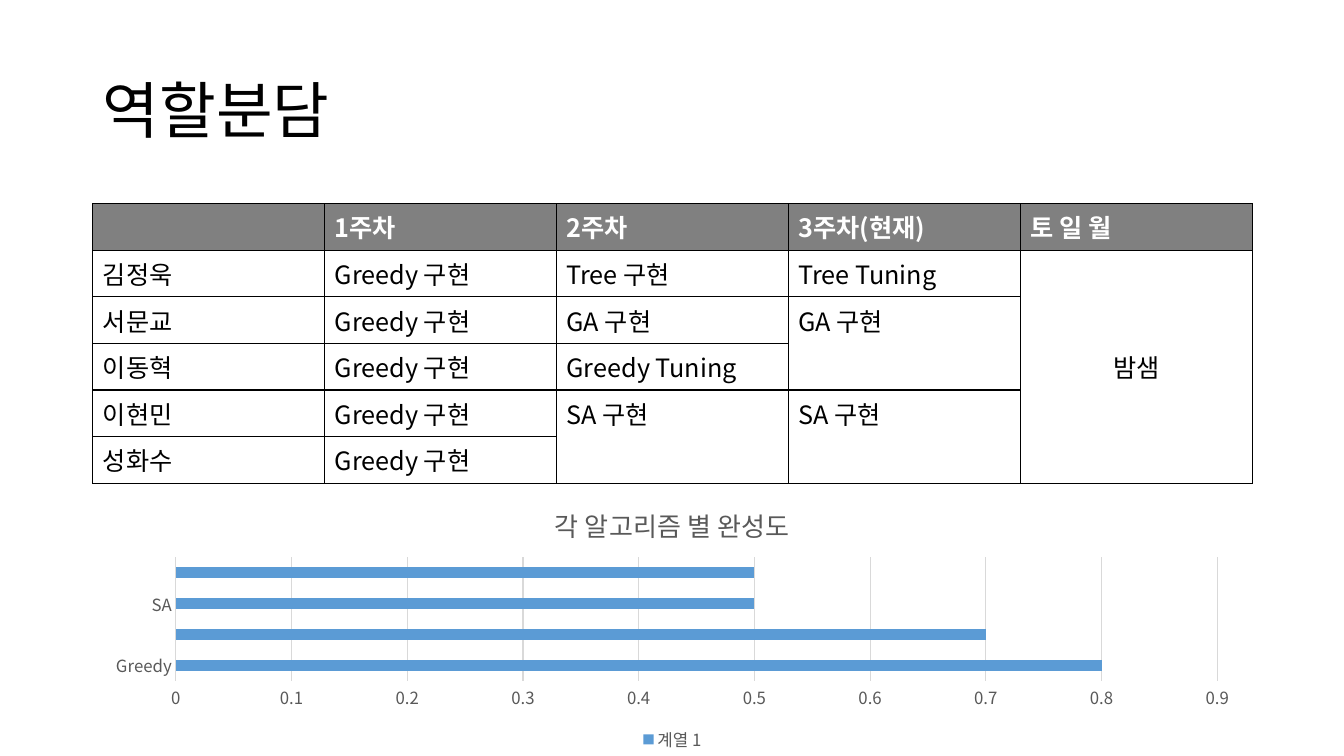
"""Build the role assignment slide with a weekly schedule and a progress chart."""
from lxml.etree import SubElement
from pptx import Presentation
from pptx.chart.data import CategoryChartData
from pptx.dml.color import RGBColor
from pptx.enum.chart import XL_CHART_TYPE, XL_LEGEND_POSITION, XL_TICK_MARK
from pptx.enum.text import MSO_ANCHOR, PP_ALIGN
from pptx.oxml.ns import qn
from pptx.util import Inches, Pt

FONT = "Noto Sans CJK KR"
BLACK = RGBColor(0x00, 0x00, 0x00)
WHITE = RGBColor(0xFF, 0xFF, 0xFF)
HEADER_GRAY = RGBColor(0x80, 0x80, 0x80)
LABEL_GRAY = RGBColor(0x59, 0x59, 0x59)
GRID_GRAY = RGBColor(0xD9, 0xD9, 0xD9)
BAR_BLUE = RGBColor(0x5B, 0x9B, 0xD5)
LEFT, WIDTH = Inches(0.92), Inches(11.5)

SCHEDULE = [
    ["", "1주차", "2주차", "3주차(현재)", "토 일 월"],
    ["김정욱", "Greedy 구현", "Tree 구현", "Tree Tuning", "밤샘"],
    ["서문교", "Greedy 구현", "GA 구현", "GA 구현", ""],
    ["이동혁", "Greedy 구현", "Greedy Tuning", "", ""],
    ["이현민", "Greedy 구현", "SA 구현", "SA 구현", ""],
    ["성화수", "Greedy 구현", "", "", ""],
]
MERGES = [((1, 4), (5, 4)), ((2, 3), (3, 3)), ((4, 2), (5, 2)), ((4, 3), (5, 3))]
PROGRESS = {"Greedy": 0.8, "Tree": 0.7, "SA": 0.5, "GA": 0.5}


class SlideBuilder:
    def __init__(self, slide):
        self.slide = slide

    def style(self, font, size, color, bold=False):
        font.name, font.size, font.bold = FONT, Pt(size), bold
        font.color.rgb = color

    def use_east_asian_font(self, element):
        for latin in list(element.iter(qn("a:latin"))):
            east_asian = SubElement(latin.getparent(), qn("a:ea"), typeface=FONT)
            latin.addnext(east_asian)

    def add_title(self, text, top, height):
        title = self.slide.shapes.title
        title.left, title.top, title.width, title.height = LEFT, top, WIDTH, height
        frame = title.text_frame
        frame.text = text
        frame.word_wrap = True
        frame.vertical_anchor = MSO_ANCHOR.MIDDLE
        paragraph = frame.paragraphs[0]
        paragraph.alignment = PP_ALIGN.LEFT
        paragraph.line_spacing = 0.9
        self.style(paragraph.runs[0].font, 44, BLACK)
        self.use_east_asian_font(title.element)

    def add_borders(self, cell):
        properties = cell._tc.get_or_add_tcPr()
        for side in ("lnL", "lnR", "lnT", "lnB"):
            line = SubElement(properties, qn(f"a:{side}"), w=str(Pt(1)))
            fill = SubElement(line, qn("a:solidFill"))
            SubElement(fill, qn("a:srgbClr"), val=str(BLACK))

    def add_table(self, rows, merges, top, height):
        frame = self.slide.shapes.add_table(len(rows), len(rows[0]), LEFT, top, WIDTH, height)
        table = frame.table
        table.horz_banding = False
        for row_index, row in enumerate(rows):
            is_header = row_index == 0
            for column_index, text in enumerate(row):
                cell = table.cell(row_index, column_index)
                self.add_borders(cell)
                if is_header:
                    cell.fill.solid()
                    cell.fill.fore_color.rgb = HEADER_GRAY
                else:
                    cell.fill.background()
                cell.text_frame.text = text
                for run in cell.text_frame.paragraphs[0].runs:
                    self.style(run.font, 18, WHITE if is_header else BLACK, is_header)
        for first, last in merges:
            table.cell(*first).merge(table.cell(*last))
        self.use_east_asian_font(frame._element)
        return table

    def format_axis(self, axis):
        axis.major_tick_mark = axis.minor_tick_mark = XL_TICK_MARK.NONE
        self.style(axis.tick_labels.font, 12, LABEL_GRAY)

    def add_bar_chart(self, title, series_name, values, top, height):
        data = CategoryChartData()
        data.categories = list(values)
        data.add_series(series_name, list(values.values()))
        chart = self.slide.shapes.add_chart(
            XL_CHART_TYPE.BAR_CLUSTERED, LEFT, top, WIDTH, height, data
        ).chart
        self.style(chart.font, 10, BLACK)
        chart.has_title = True
        chart.chart_title.include_in_layout = False
        chart.chart_title.text_frame.text = title
        self.style(chart.chart_title.text_frame.paragraphs[0].runs[0].font, 18.6, LABEL_GRAY)
        chart.has_legend = True
        chart.legend.position = XL_LEGEND_POSITION.BOTTOM
        chart.legend.include_in_layout = False
        self.style(chart.legend.font, 12, LABEL_GRAY)

        for axis in (chart.category_axis, chart.value_axis):
            self.format_axis(axis)
        chart.value_axis.tick_labels.number_format = "General"
        chart.value_axis.tick_labels.number_format_is_linked = False
        chart.value_axis.format.line.fill.background()
        chart.value_axis.has_major_gridlines = True
        for part in (chart.category_axis, chart.value_axis.major_gridlines):
            part.format.line.color.rgb = GRID_GRAY
            part.format.line.width = Pt(0.75)

        plot = chart.plots[0]
        plot.gap_width = 182
        plot.vary_by_categories = False
        bar_fill = plot.series[0].format.fill
        bar_fill.solid()
        bar_fill.fore_color.rgb = BAR_BLUE
        self.use_east_asian_font(chart._chartSpace)


presentation = Presentation()
presentation.slide_width, presentation.slide_height = Inches(13.33), Inches(7.5)
builder = SlideBuilder(presentation.slides.add_slide(presentation.slide_layouts[5]))

builder.add_title("역할분담", Inches(0.4), Inches(1.45))
schedule = builder.add_table(SCHEDULE, MERGES, Inches(2.02), Inches(2.43))
all_night = schedule.cell(1, 4)
all_night.vertical_anchor = MSO_ANCHOR.MIDDLE
all_night.text_frame.paragraphs[0].alignment = PP_ALIGN.CENTER
builder.add_bar_chart("각 알고리즘 별 완성도", "계열 1", PROGRESS, Inches(4.84), Inches(2.66))

presentation.save("out.pptx")
